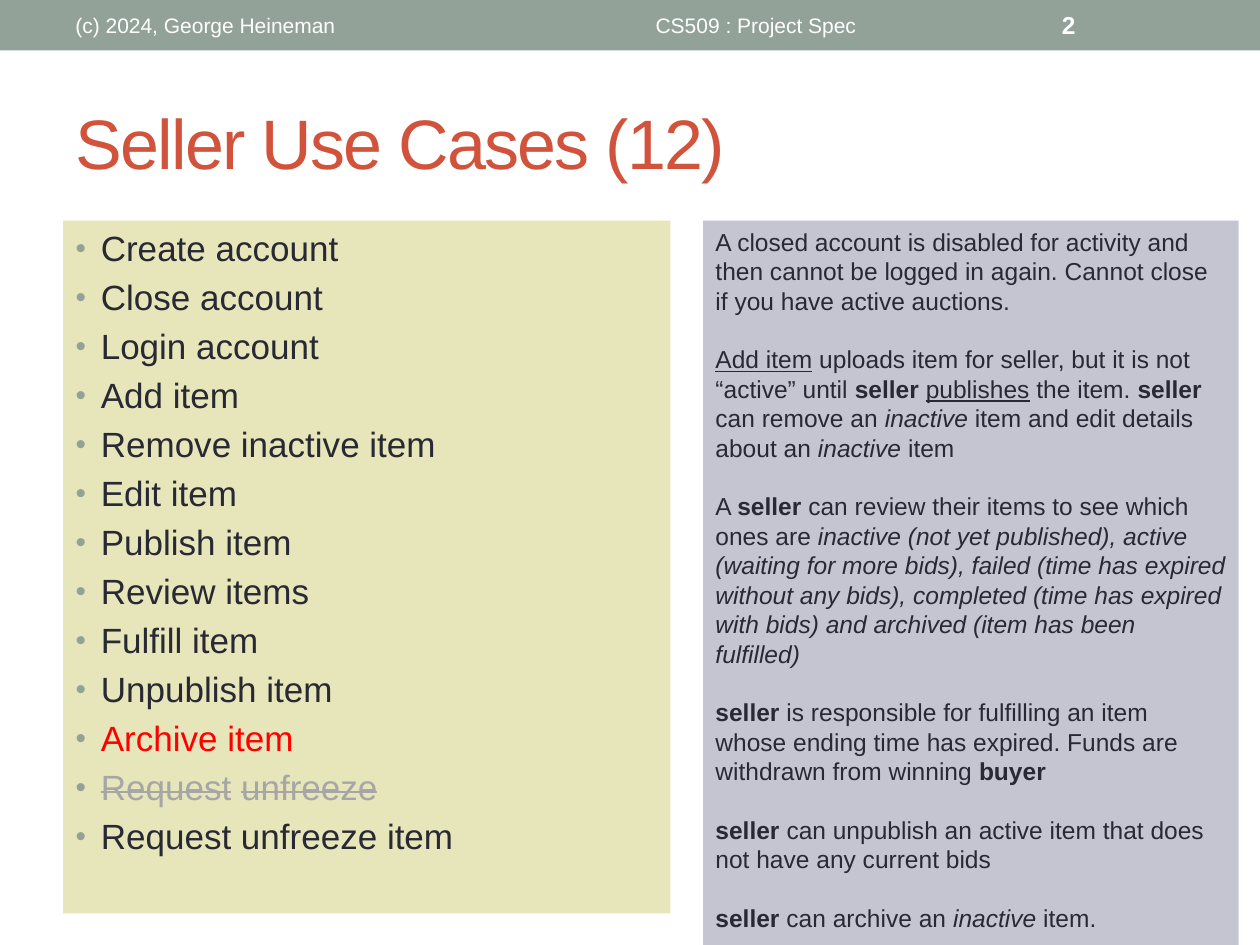
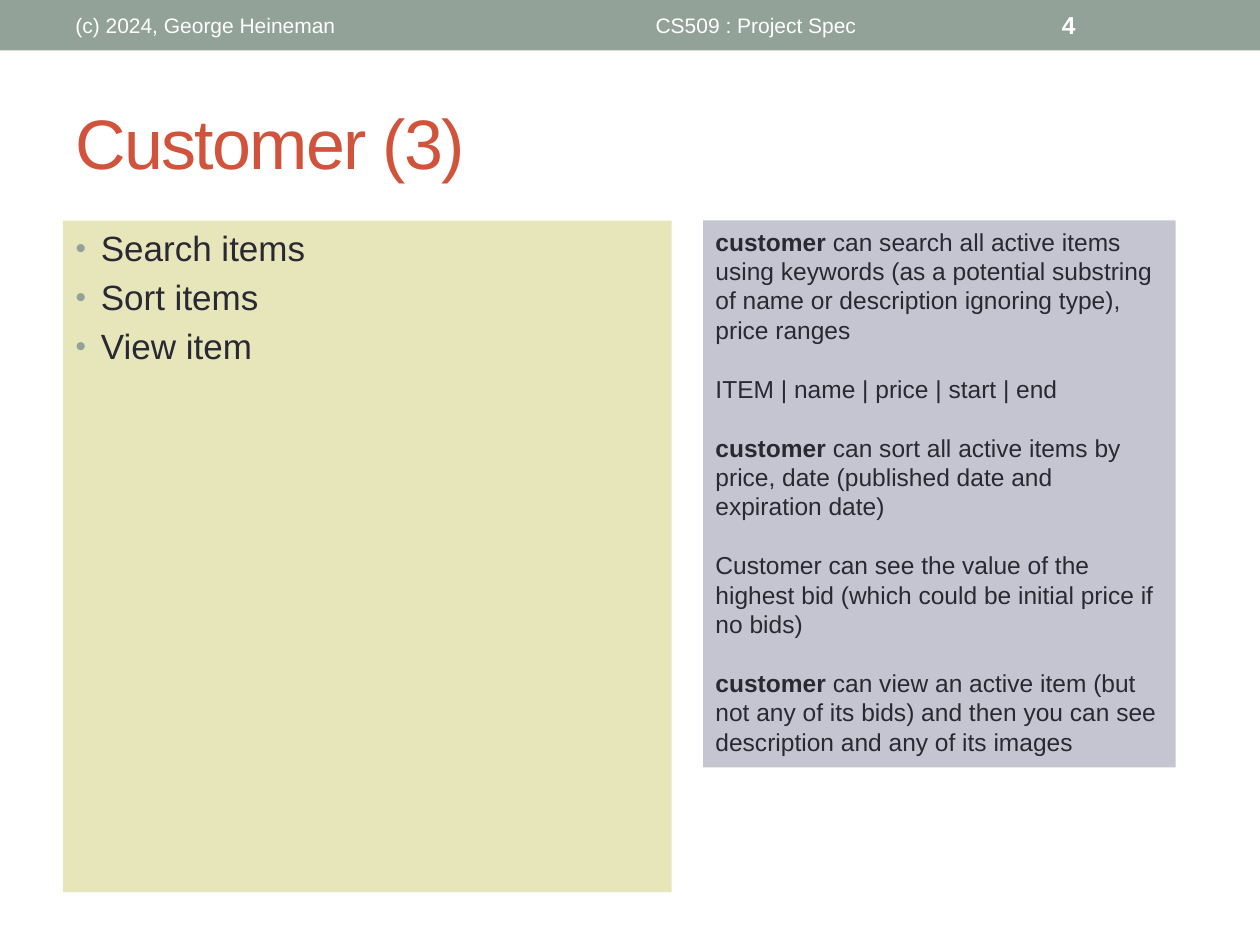
import dataclasses
import typing

import pptx
import pptx.dml.color
import pptx.enum.shapes
import pptx.enum.text
import pptx.oxml
import pptx.oxml.ns
import pptx.util

Inches = pptx.util.Inches
Pt = pptx.util.Pt
Align = pptx.enum.text.PP_ALIGN
Anchor = pptx.enum.text.MSO_ANCHOR


# Shared look
@dataclasses.dataclass(frozen=True)
class Theme:
    font: str = "Arial"
    band: str = "93A299"
    title: str = "D2533C"
    text: str = "292934"
    list_fill: str = "E7E5BA"
    note_fill: str = "C5C5D1"
    new_item: str = "FF0000"
    dropped_item: str = "A6A6A6"
    white: str = "FFFFFF"
    title_size: float = 40
    list_size: float = 20
    note_size: float = 14
    note_gap: float = 16.8
    footer_size: float = 12
    number_size: float = 14


THEME = Theme()


class Box(typing.NamedTuple):
    left: float
    top: float
    width: float
    height: float

    def lengths(self) -> list:
        return [Inches(value) for value in self]


class Span(typing.NamedTuple):
    text: str
    formats: dict = {}
    color: str = THEME.text
    strike: bool = False


class Footer(typing.NamedTuple):
    text: str
    box: Box
    size: float
    alignment: Align = Align.LEFT
    bold: bool = False


Line = list[Span]


class UseCasePage(typing.NamedTuple):
    number: str
    title: str
    use_cases: list[Line]
    list_box: Box
    notes: list[Line]
    note_box: Box


BAND_BOX = Box(0, 0, 10, 0.4)
TITLE_BOX = Box(0.5, 0.58, 9, 1.08)


# Text helpers
def bold(text: str) -> Span:
    return Span(text, {"bold": True})


def italic(text: str) -> Span:
    return Span(text, {"italic": True})


def underlined(text: str) -> Span:
    return Span(text, {"underline": True})


def dropped(text: str, strike: bool = True) -> Span:
    return Span(text, color=THEME.dropped_item, strike=strike)


def plain_lines(*texts: str) -> list[Line]:
    return [[Span(text)] for text in texts]


def apply_formats(target: typing.Any, formats: dict) -> None:
    for name, value in formats.items():
        setattr(target, name, value)


def fill_solid(shape: typing.Any, color: str) -> None:
    shape.fill.solid()
    shape.fill.fore_color.rgb = pptx.dml.color.RGBColor.from_string(color)


def place(shape: typing.Any, box: Box) -> None:
    apply_formats(shape, dict(zip(("left", "top", "width", "height"), box.lengths())))


def write_lines(shape: typing.Any, lines: list[Line], size: float,
                anchor: Anchor = Anchor.TOP, alignment: Align = Align.LEFT) -> list:
    frame = shape.text_frame
    apply_formats(frame, {
        "word_wrap": True,
        "auto_size": pptx.enum.text.MSO_AUTO_SIZE.NONE,
        "vertical_anchor": anchor,
    })
    paragraphs = []
    for index, line in enumerate(lines):
        paragraph = frame.add_paragraph() if index else frame.paragraphs[0]
        paragraph.alignment = alignment
        for span in line:
            run = paragraph.add_run()
            run.text = span.text
            apply_formats(run.font, {"name": THEME.font, "size": Pt(size), **span.formats})
            run.font.color.rgb = pptx.dml.color.RGBColor.from_string(span.color)
            if span.strike:
                run.font._element.set("strike", "sngStrike")
        paragraphs.append(paragraph)
    return paragraphs


def add_bullet(paragraph: typing.Any) -> None:
    properties = paragraph._p.get_or_add_pPr()
    indent = Inches(0.2)
    properties.set("marL", str(indent))
    properties.set("indent", str(-indent))
    namespace = pptx.oxml.ns.nsdecls("a")
    for markup in (
        f'<a:buClr {namespace}><a:srgbClr val="{THEME.band}"/></a:buClr>',
        f'<a:buSzPct {namespace} val="85000"/>',
        f'<a:buFont {namespace} typeface="{THEME.font}"/>',
        f'<a:buChar {namespace} char="•"/>',
    ):
        properties.append(pptx.oxml.parse_xml(markup))


# Slide parts
def draw_band(slide: typing.Any, number: str) -> None:
    band = slide.shapes.add_shape(
        pptx.enum.shapes.MSO_SHAPE.RECTANGLE, *BAND_BOX.lengths())
    band.shadow.inherit = False
    fill_solid(band, THEME.band)
    band.line.fill.background()
    footers = [
        Footer("(c) 2024, George Heineman", Box(0.5, 0.02, 3.17, 0.36), THEME.footer_size),
        Footer("CS509 : Project Spec", Box(3.75, 0.02, 4.5, 0.36), THEME.footer_size,
               Align.CENTER),
        Footer(number, Box(8.33, 0.02, 1.17, 0.36), THEME.number_size, bold=True),
    ]
    for footer in footers:
        text_box = slide.shapes.add_textbox(*footer.box.lengths())
        span = Span(footer.text, {"bold": footer.bold}, THEME.white)
        write_lines(text_box, [[span]], footer.size, Anchor.MIDDLE, footer.alignment)


def draw_title(slide: typing.Any, text: str) -> None:
    title = slide.shapes.title
    place(title, TITLE_BOX)
    paragraphs = write_lines(title, [[Span(text, color=THEME.title)]],
                             THEME.title_size, Anchor.MIDDLE)
    paragraphs[0].runs[0].font._element.set("spc", "-100")


def draw_use_cases(slide: typing.Any, lines: list[Line], box: Box) -> None:
    body = slide.placeholders[1]
    place(body, box)
    fill_solid(body, THEME.list_fill)
    for paragraph in write_lines(body, lines, THEME.list_size):
        add_bullet(paragraph)


def draw_notes(slide: typing.Any, lines: list[Line], box: Box) -> None:
    panel = slide.shapes.add_textbox(*box.lengths())
    fill_solid(panel, THEME.note_fill)
    for paragraph in write_lines(panel, lines, THEME.note_size)[1:]:
        paragraph.space_before = Pt(THEME.note_gap)


# Content
PAGES = [
    UseCasePage(
        number="2",
        title="Seller Use Cases (12)",
        use_cases=[
            *plain_lines(
                "Create account", "Close account", "Login account", "Add item",
                "Remove inactive item", "Edit item", "Publish item", "Review items",
                "Fulfill item", "Unpublish item"),
            [Span("Archive item", color=THEME.new_item)],
            [dropped("Request"), dropped(" ", strike=False), dropped("unfreeze")],
            *plain_lines("Request unfreeze item"),
        ],
        list_box=Box(0.5, 1.75, 4.82, 5.5),
        notes=[
            [Span("A closed account is disabled for activity and then cannot be logged in "
                  "again. Cannot close if you have active auctions.")],
            [underlined("Add item"),
             Span(" uploads item for seller, but it is not “active” until "),
             bold("seller "), underlined("publishes"), Span(" the item. "),
             bold("seller "), Span("can remove an "), italic("inactive "),
             Span("item and edit details about an "), italic("inactive "), Span("item")],
            [Span("A "), bold("seller"),
             Span(" can review their items to see which ones are "),
             italic("inactive (not yet published), active (waiting for more bids), "
                    "failed (time has expired without any bids), completed (time has "
                    "expired with bids) and archived (item has been fulfilled)")],
            [bold("seller"),
             Span(" is responsible for fulfilling an item whose ending time has expired. "
                  "Funds are withdrawn from winning "), bold("buyer")],
            [bold("seller "),
             Span("can unpublish an active item that does not have any current bids")],
            [bold("seller"), Span(" can archive an "), italic("inactive"), Span(" item.")],
        ],
        note_box=Box(5.58, 1.75, 4.25, 5.75),
    ),
    UseCasePage(
        number="4",
        title="Customer (3)",
        use_cases=plain_lines("Search items", "Sort items", "View item"),
        list_box=Box(0.5, 1.75, 4.83, 5.33),
        notes=[
            [bold("customer"),
             Span(" can search all active items using keywords (as a potential substring "
                  "of name or description ignoring type), price ranges")],
            [Span("ITEM | name | price | start | end")],
            [bold("customer"),
             Span(" can sort all active items by price, date (published date and "
                  "expiration date)")],
            [Span("Customer can see the value of the highest bid (which could be initial "
                  "price if no bids)")],
            [bold("customer"),
             Span(" can view an active item (but not any of its bids) and then you can "
                  "see description and any of its images")],
        ],
        note_box=Box(5.58, 1.75, 3.75, 4.34),
    ),
]


def main() -> None:
    presentation = pptx.Presentation()
    apply_formats(presentation, {"slide_width": Inches(10), "slide_height": Inches(7.5)})
    for page in PAGES:
        slide = presentation.slides.add_slide(presentation.slide_layouts[1])
        draw_band(slide, page.number)
        draw_title(slide, page.title)
        draw_use_cases(slide, page.use_cases, page.list_box)
        draw_notes(slide, page.notes, page.note_box)
    presentation.save("out.pptx")


if __name__ == "__main__":
    main()
